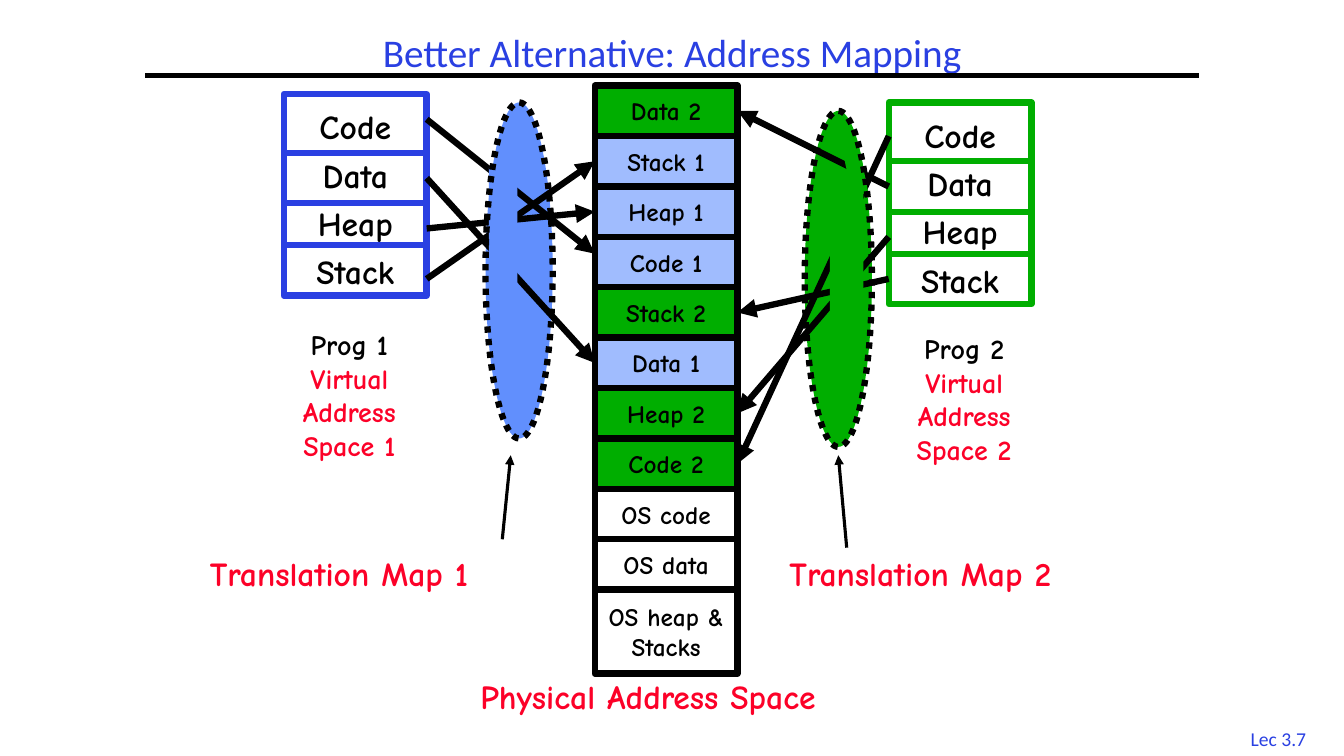
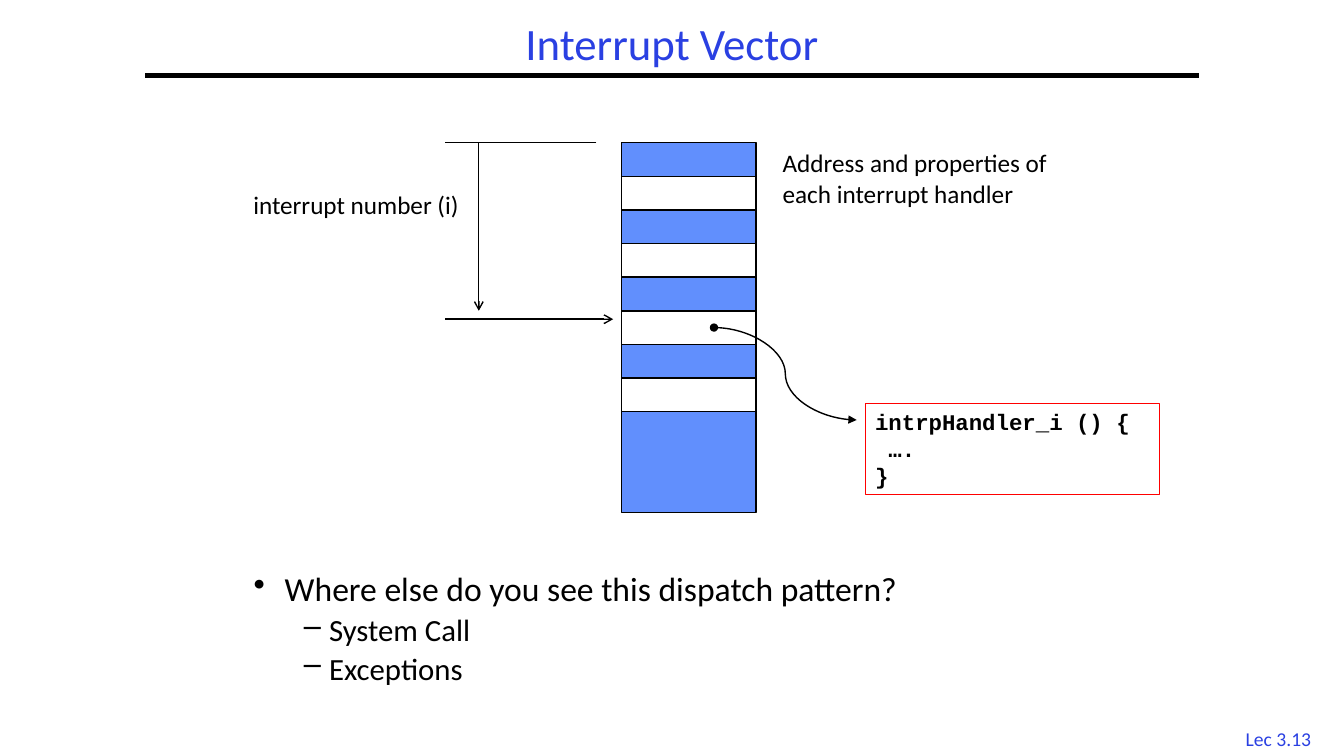
from dataclasses import dataclass

from pptx import Presentation
from pptx.dml.color import RGBColor
from pptx.enum.dml import MSO_LINE
from pptx.enum.shapes import MSO_CONNECTOR, MSO_SHAPE
from pptx.enum.text import MSO_ANCHOR, PP_ALIGN
from pptx.oxml.ns import qn
from pptx.util import Inches, Pt

RECT, OVAL = MSO_SHAPE.RECTANGLE, MSO_SHAPE.OVAL
STRAIGHT, CURVE = MSO_CONNECTOR.STRAIGHT, MSO_CONNECTOR.CURVE
LEFT, CENTER, RIGHT = PP_ALIGN.LEFT, PP_ALIGN.CENTER, PP_ALIGN.RIGHT
TOP, MIDDLE = MSO_ANCHOR.TOP, MSO_ANCHOR.MIDDLE
DOTTED = MSO_LINE.ROUND_DOT
TITLE_ONLY = 5

# All lengths are in grid units: 160 columns by 90 rows
UNIT = Inches(1 / 12)
COLUMNS, ROWS = 160, 90


@dataclass(frozen=True)
class Theme:
    black: str = "000000"
    white: str = "FFFFFF"
    title_blue: str = "2A40E2"
    blue: str = "618FFD"
    pale_blue: str = "A0BCFE"
    green: str = "00AE00"
    red: str = "FC0128"
    code_red: str = "FF0000"
    body_font: str = "Calibri"
    diagram_font: str = "Comic Neue"
    code_font: str = "Courier New"
    footer: int = 14
    code: int = 16
    note: int = 18
    label: int = 20
    sub_bullet: int = 22
    large: int = 24
    thin: float = 1
    medium: float = 2.25
    thick: float = 4.5


THEME = Theme()


# Shared helpers
def grid(*values):
    return [round(value * UNIT) for value in values]


def color(code):
    return RGBColor.from_string(code)


def write(box, lines, *, size=THEME.note, font=THEME.body_font, ink=THEME.black,
          first_ink=None, bold=False, align=LEFT, anchor=TOP, spacing=None, wrap=True):
    """Fill a shape with one paragraph for each line of text."""
    frame = box.text_frame
    frame.word_wrap = wrap
    frame.vertical_anchor = anchor
    for index, line in enumerate(lines.split("\n")):
        para = frame.add_paragraph() if index else frame.paragraphs[0]
        para.alignment = align
        if spacing:
            para.line_spacing = spacing
        span = para.add_run()
        span.text = line
        span.font.size, span.font.name, span.font.bold = Pt(size), font, bold
        span.font.color.rgb = color(first_ink if first_ink and not index else ink)


def add_text(page, area, lines, **text_format):
    write(page.shapes.add_textbox(*grid(*area)), lines, **text_format)


def add_block(page, area, *, kind=RECT, fill=None, line=None, width=THEME.thick, dash=None):
    block = page.shapes.add_shape(kind, *grid(*area))
    block.shadow.inherit = False
    if fill:
        block.fill.solid()
        block.fill.fore_color.rgb = color(fill)
    else:
        block.fill.background()
    if line:
        block.line.color.rgb = color(line)
        block.line.width = Pt(width)
        if dash:
            block.line.dash_style = dash
    else:
        block.line.fill.background()
    return block


def add_line(page, start, end, *, ink=THEME.black, width=THEME.thin,
             kind=STRAIGHT, head=None, tail=None):
    line = page.shapes.add_connector(kind, *grid(*start, *end))
    line.line.color.rgb = color(ink)
    line.line.width = Pt(width)
    outline = line.line._get_or_add_ln()
    for tag, mark in (("a:headEnd", head), ("a:tailEnd", tail)):
        if mark:
            element = outline.makeelement(qn(tag), {"type": mark})
            outline.append(element)
    properties = line._element.spPr
    properties.append(properties.makeelement(qn("a:effectLst"), {}))


def add_page(deck, title, footer, title_area, title_size):
    page = deck.slides.add_slide(deck.slide_layouts[TITLE_ONLY])
    box = page.shapes.title
    box.left, box.top, box.width, box.height = grid(*title_area)
    write(box, title, size=title_size, ink=THEME.title_blue, align=CENTER,
          anchor=MIDDLE, spacing=0.9)
    add_text(page, (146.4, 85.9, 11.6, 4), footer, size=THEME.footer,
             ink=THEME.title_blue, align=CENTER, wrap=False)
    add_line(page, (17.3, 9), (142.7, 9), width=3)
    return page


# Address mapping
def add_program(page, left, top, ink):
    """Draw one program's segments, split by dividers."""
    box = add_block(page, (left, top, 17, 24), fill=THEME.white, line=ink)
    write(box, "Code\nData\nHeap\nStack", size=THEME.large, font=THEME.diagram_font,
          bold=True, align=CENTER, anchor=MIDDLE, spacing=1.2, wrap=False)
    for offset in (7, 13, 18):
        add_line(page, (left, top + offset), (left + 17, top + offset),
                 ink=ink, width=THEME.thick)


def add_memory(page, left, top):
    """Stack the segments of physical memory."""
    cells = [("Data 2", THEME.green), ("Stack 1", THEME.pale_blue),
             ("Heap 1", THEME.pale_blue), ("Code 1", THEME.pale_blue),
             ("Stack 2", THEME.green), ("Data 1", THEME.pale_blue),
             ("Heap 2", THEME.green), ("Code 2", THEME.green),
             ("OS code", THEME.white), ("OS data", THEME.white),
             ("OS heap &\nStacks", THEME.white)]
    for name, fill in cells:
        height = 10 if "\n" in name else 6
        cell = add_block(page, (left, top, 17, height), fill=fill, line=THEME.black)
        write(cell, name, font=THEME.diagram_font, bold=True, align=CENTER,
              anchor=MIDDLE, wrap=False)
        top += height


def build_mapping(deck):
    page = add_page(deck, "Better Alternative: Address Mapping", "Lec 3.7",
                    (20, 3, 120, 7), 28)
    map_areas = {THEME.blue: (57.8, 12.2, 8, 40), THEME.green: (95.8, 13.2, 8, 40)}
    for fill, area in map_areas.items():
        add_block(page, area, kind=OVAL, fill=fill)

    add_program(page, 33.8, 11.2, THEME.title_blue)
    add_program(page, 105.8, 12.2, THEME.green)
    add_memory(page, 70.8, 10.2)

    # Arrows from the segments (code, data, heap, stack) to memory
    routes = [(50.8, 70.8, [(14.2, 30.2), (21.2, 43.2), (27.2, 25.2), (33.2, 19.2)]),
              (105.8, 87.8, [(16.2, 55.2), (22.2, 13.2), (28.2, 49.2), (33.2, 37.2)])]
    for start, end, rows in routes:
        for source, target in rows:
            add_line(page, (start, source), (end, target), width=THEME.thick,
                     tail="triangle")

    # Patches hide the arrows inside the maps; outlines go on top
    add_block(page, (58.2, 20, 3.4, 18), fill=THEME.blue)
    add_block(page, (98.8, 22.2, 4, 19), fill=THEME.green)
    add_block(page, (100.8, 17.2, 2, 6), fill=THEME.green).rotation = 348.5
    for area in map_areas.values():
        add_block(page, area, kind=OVAL, line=THEME.black, dash=DOTTED)

    # Labels and their pointers
    comic = {"font": THEME.diagram_font, "bold": True, "ink": THEME.red}
    for number, left, top in ((1, 33.7, 38.4), (2, 106.9, 38.9)):
        add_text(page, (left, top, 15.8, 17.4),
                 f"Prog {number}\nVirtual\nAddress\nSpace {number}",
                 size=THEME.label, first_ink=THEME.black, align=CENTER, **comic)
    for text, area in (("Translation Map 1", (23.8, 65.2, 37.8, 6)),
                       ("Translation Map 2", (92.8, 65.2, 37.8, 6)),
                       ("Physical Address Space", (56, 79.9, 49, 6))):
        add_text(page, area, text, size=THEME.large, **comic)
    for start, end in (((59.8, 64.2), (60.8, 54.2)), ((100.8, 65.2), (99.8, 54.2))):
        add_line(page, start, end, width=THEME.medium, tail="triangle")


# Interrupt vector
def add_bullets(page, area, items):
    """Write (level, text) items as a two-level list."""
    styles = [("•", 0.31, 0.31, THEME.large), ("–", 0.75, 0.25, THEME.sub_bullet)]
    frame = page.shapes.add_textbox(*grid(*area)).text_frame
    frame.word_wrap = True
    for index, (level, text) in enumerate(items):
        mark, margin, hanging, size = styles[level]
        para = frame.add_paragraph() if index else frame.paragraphs[0]
        para.level = level
        para.line_spacing = 0.8
        if index:
            para.space_before = Pt(0.3 * size)
        properties = para._p.get_or_add_pPr()
        properties.set("marL", str(Inches(margin)))
        properties.set("indent", str(-Inches(hanging)))
        properties.append(properties.makeelement(qn("a:buChar"), {"char": mark}))
        span = para.add_run()
        span.text = text
        span.font.size, span.font.name = Pt(size), THEME.body_font
        span.font.color.rgb = color(THEME.black)


def build_vector(deck):
    page = add_page(deck, "Interrupt Vector", "Lec 3.13", (17.3, 2, 125.4, 7), 32)
    add_bullets(page, (29, 68, 100, 15),
                [(0, "Where else do you see this dispatch pattern?"),
                 (1, "System Call"), (1, "Exceptions")])

    # Vector with alternating entries
    left, top, row = 74, 17, 4
    add_block(page, (left, top, 16, 44), fill=THEME.blue, line=THEME.black,
              width=THEME.thin)
    for entry in (1, 3, 5, 7):
        add_block(page, (left, top + entry * row, 16, row), fill=THEME.white,
                  line=THEME.black, width=THEME.thin)

    # Index into the vector
    add_line(page, (71, top), (53, top))
    add_line(page, (57, top), (57, 37), tail="arrow")
    add_line(page, (53, 38), (73, 38), tail="arrow")
    add_text(page, (22, 22, 33.8, 4.8), "interrupt number (i)", align=RIGHT)

    # Handler reached from the entry
    add_line(page, (85, 39), (102, 50), kind=CURVE, head="oval", tail="triangle")
    handler = add_block(page, (103, 48, 35, 10.9), line=THEME.code_red, width=0.75)
    write(handler, "intrpHandler_i () {\n ….\n}", size=THEME.code,
          font=THEME.code_font, bold=True)
    add_text(page, (92, 17, 36, 8.5),
             "Address and properties of each interrupt handler")


def main():
    deck = Presentation()
    deck.slide_width, deck.slide_height = grid(COLUMNS, ROWS)
    build_mapping(deck)
    build_vector(deck)
    deck.save("out.pptx")


if __name__ == "__main__":
    main()
